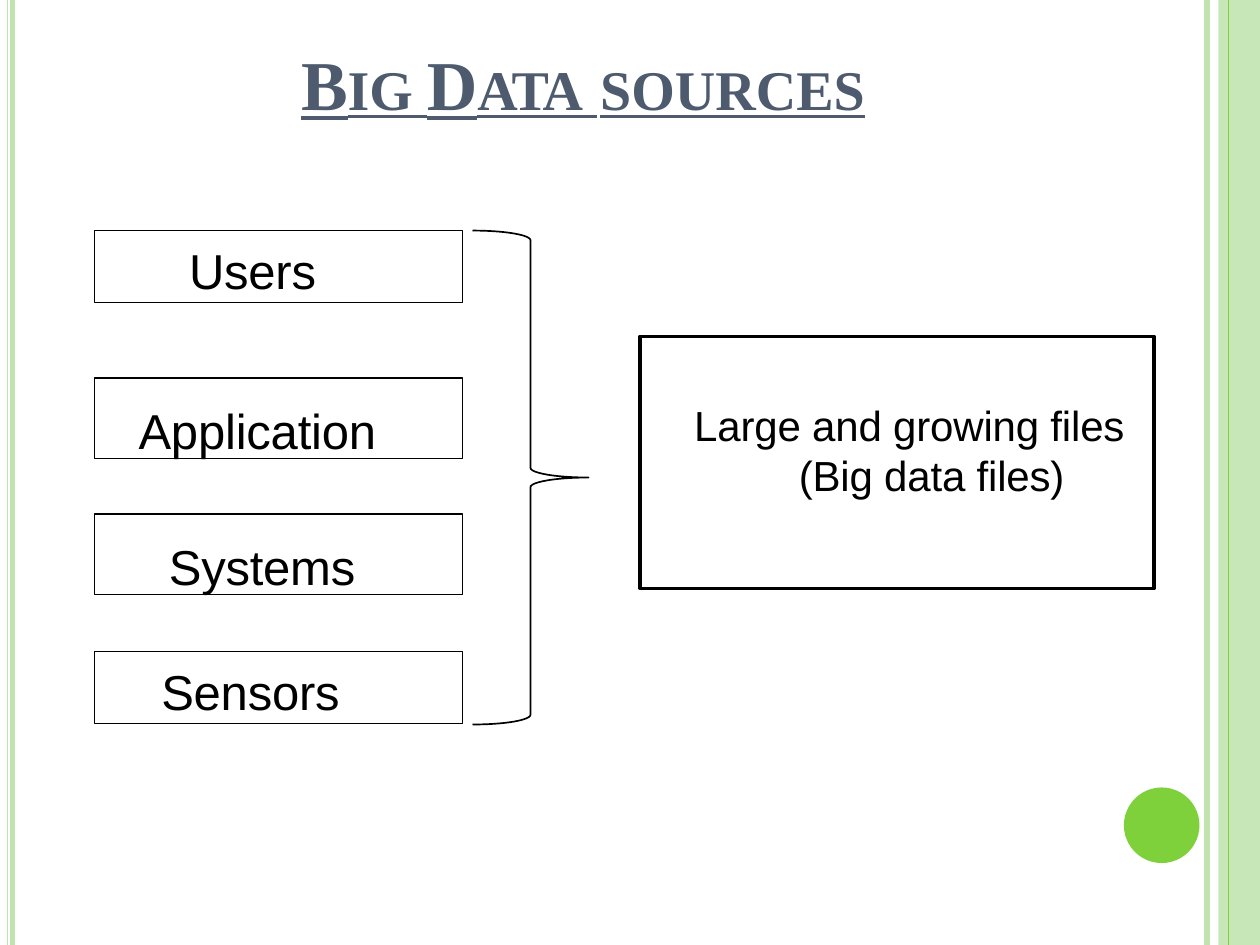
from pptx import Presentation
from pptx.dml.color import RGBColor
from pptx.enum.shapes import MSO_CONNECTOR, MSO_SHAPE
from pptx.enum.text import MSO_ANCHOR, MSO_AUTO_SIZE, PP_ALIGN
from pptx.oxml.ns import qn
from pptx.util import Inches, Pt
from lxml.etree import SubElement

THEME = {
    "pale": RGBColor(0xC0, 0xE4, 0xAE),
    "green": RGBColor(0x7E, 0xD1, 0x3A),
    "slate": RGBColor(0x4E, 0x5B, 0x6E),
    "black": RGBColor(0, 0, 0),
    "title_font": "Times New Roman",
    "body_font": "Arial",
    "title_capital": 40,
    "title_small": 32,
    "source_size": 28,
    "result_size": 24,
}
WIDTH, HEIGHT = 10, 7.5

# text, size key, letter spacing in points
TITLE_RUNS = [
    ("B", "title_capital", -0.1),
    ("IG ", "title_small", -0.1),
    ("D", "title_capital", -1.2),
    ("ATA", "title_small", -1.2),
    (" ", "title_small", 1.7),
    ("SOURCES", "title_small", 0),
]
# text, box top, box height, text indent, text inset from top
SOURCES = [
    ("Users", 1.83, 0.57, 0.75, 0.08),
    ("Application", 3, 0.64, 0.35, 0.18),
    ("Systems", 4.08, 0.64, 0.59, 0.18),
    ("Sensors", 5.17, 0.57, 0.53, 0.08),
]
# text, text indent
RESULT_LINES = [("Large and growing files", 0.43), ("(Big data files)", 1.26)]
# x, colour key, line width in points
RAILS = [
    (9.58, "pale", 3),
    (0.1, "pale", 2.75),
    (0.06, "pale", 0.91),
    (9.75, "green", 0.72),
]


def add_plain_shape(slide, preset, box, fill=None, line_width=None):
    shape = slide.shapes.add_shape(preset, *map(Inches, box))
    shape.shadow.inherit = False
    if fill is None:
        shape.fill.background()
    else:
        shape.fill.solid()
        shape.fill.fore_color.rgb = fill
    if line_width is None:
        shape.line.fill.background()
    else:
        shape.line.color.rgb = THEME["black"]
        shape.line.width = Pt(line_width)
    return shape


def add_rail(slide, x, color, width):
    rail = slide.shapes.add_connector(
        MSO_CONNECTOR.STRAIGHT, Inches(x), 0, Inches(x), Inches(HEIGHT))
    rail.line.color.rgb = THEME[color]
    rail.line.width = Pt(width)
    SubElement(rail._element.spPr, qn("a:effectLst"))


def prepare_frame(text_frame, top):
    text_frame.margin_left = text_frame.margin_right = text_frame.margin_bottom = 0
    text_frame.margin_top = Inches(top)
    text_frame.vertical_anchor = MSO_ANCHOR.TOP
    text_frame.auto_size = MSO_AUTO_SIZE.NONE
    text_frame.word_wrap = True


def indent(paragraph, left):
    paragraph.alignment = PP_ALIGN.LEFT
    properties = paragraph._p.get_or_add_pPr()
    properties.set("marL", str(Inches(left)))
    properties.set("indent", "0")


def format_run(run, font, size, color, spacing):
    run.font.name = THEME[font]
    run.font.size = Pt(THEME[size])
    run.font.color.rgb = THEME[color]
    run.font._element.set("spc", str(round(spacing * 100)))


def write_lines(shape, lines, size, top):
    """Write (text, indent) pairs, one paragraph each."""
    text_frame = shape.text_frame
    prepare_frame(text_frame, top)
    text_frame.text = "\n".join(text for text, _ in lines)
    for paragraph, (_, left) in zip(text_frame.paragraphs, lines):
        indent(paragraph, left)
        format_run(paragraph.runs[0], "body_font", size, "black", -0.1)


def write_title(title):
    title.left, title.top, title.width, title.height = map(
        Inches, (2.38, 0.25, 4.55, 0.69))
    prepare_frame(title.text_frame, 0.07)
    paragraph = title.text_frame.paragraphs[0]
    indent(paragraph, 0.01)
    for text, size, spacing in TITLE_RUNS:
        run = paragraph.add_run()
        run.text = text
        format_run(run, "title_font", size, "slate", spacing)
        run.font.bold = run.font.underline = True


def add_decoration(slide):
    band = add_plain_shape(
        slide, MSO_SHAPE.RECTANGLE, (9.67, 0, WIDTH - 9.67, HEIGHT), THEME["pale"])
    color = band._element.spPr.find(qn("a:solidFill"))[0]
    SubElement(color, qn("a:alpha"), val="87000")
    for rail in RAILS:
        add_rail(slide, *rail)
    add_plain_shape(slide, MSO_SHAPE.OVAL, (8.92, 6.25, 0.6, 0.6), THEME["green"])


def main():
    presentation = Presentation()
    presentation.slide_width = Inches(WIDTH)
    presentation.slide_height = Inches(HEIGHT)
    slide = presentation.slides.add_slide(presentation.slide_layouts[5])

    add_decoration(slide)
    write_title(slide.shapes.title)
    for text, top, height, left, inset in SOURCES:
        box = add_plain_shape(
            slide, MSO_SHAPE.RECTANGLE, (0.75, top, 2.92, height), line_width=0.72)
        write_lines(box, [(text, left)], "source_size", inset)
    result = add_plain_shape(
        slide, MSO_SHAPE.RECTANGLE, (5.08, 2.67, 4.08, 2), line_width=2.04)
    write_lines(result, RESULT_LINES, "result_size", 0.5)
    add_plain_shape(
        slide, MSO_SHAPE.RIGHT_BRACE, (3.75, 1.83, 0.92, 3.92), line_width=0.96)

    presentation.save("out.pptx")


if __name__ == "__main__":
    main()
